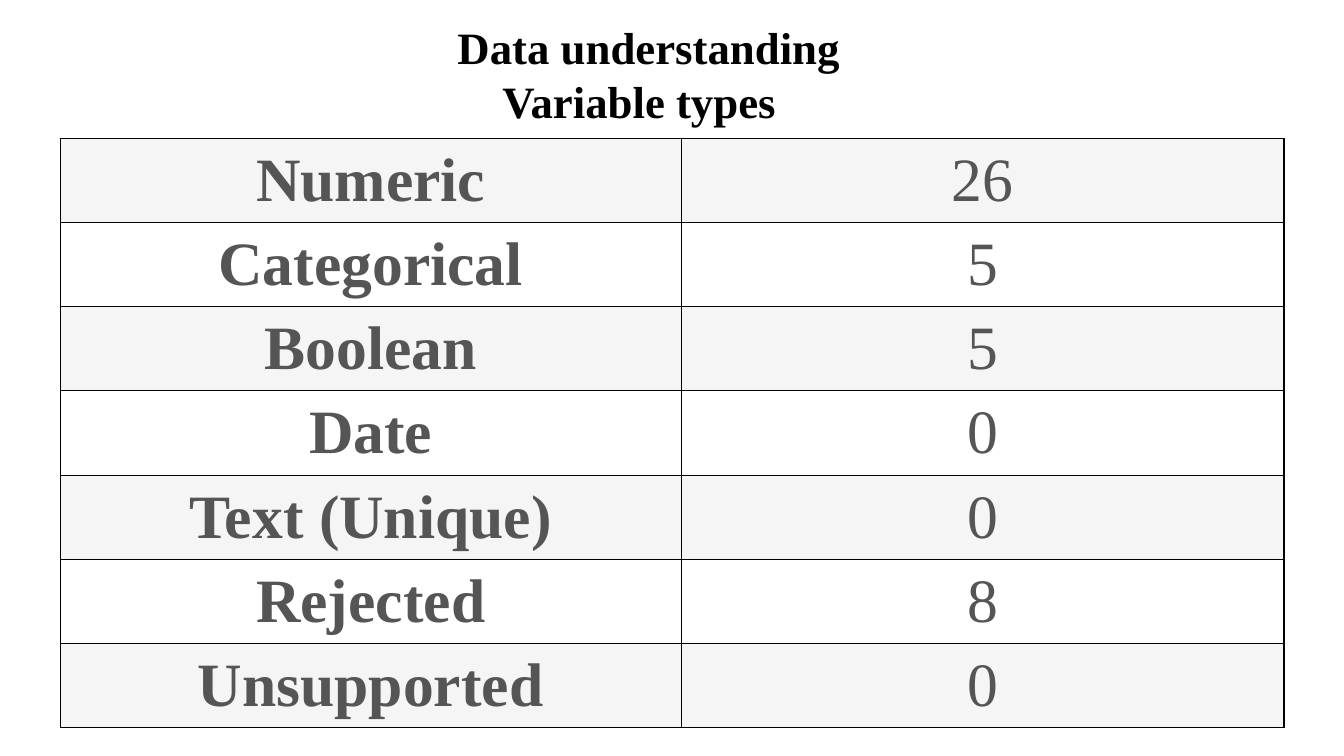
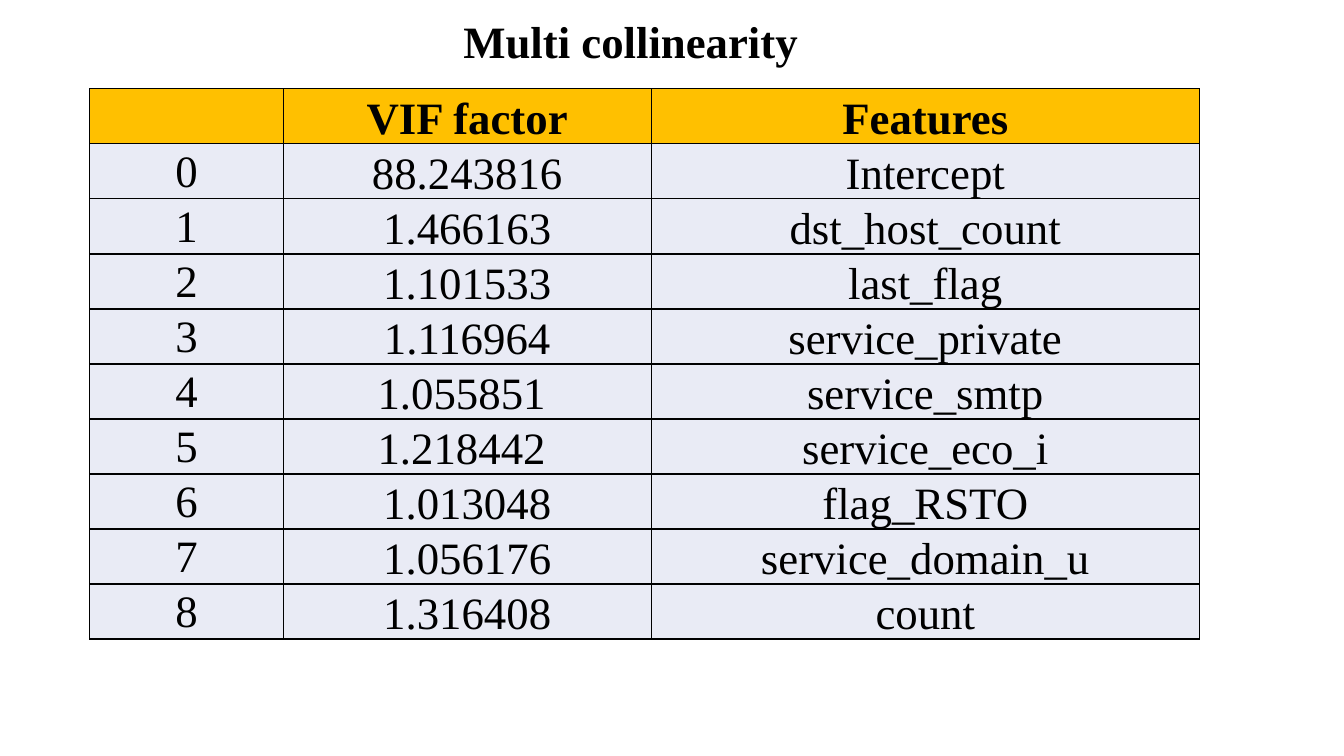
from dataclasses import dataclass

from lxml import etree
from pptx import Presentation
from pptx.dml.color import RGBColor
from pptx.enum.text import MSO_ANCHOR, MSO_AUTO_SIZE, PP_ALIGN
from pptx.oxml.ns import qn
from pptx.util import Cm, Pt

CENTER, JUSTIFY = PP_ALIGN.CENTER, PP_ALIGN.JUSTIFY
MIDDLE, BOTTOM = MSO_ANCHOR.MIDDLE, MSO_ANCHOR.BOTTOM
GROW = MSO_AUTO_SIZE.SHAPE_TO_FIT_TEXT
BLANK_LAYOUT = 6


@dataclass(frozen=True)
class Theme:
    """Colours, type sizes and line widths of the presentation."""
    font: str = "Times New Roman"
    ink: str = "000000"
    muted: str = "555555"
    white: str = "FFFFFF"
    stripe: str = "F5F5F5"
    header: str = "FFC000"
    body: str = "E9EBF5"
    text_size: int = 32
    large_size: int = 44
    border: int = 1


THEME = Theme()
SNUG = (0.03, 0.03, 0.03, 0)
EVEN = (0.03, 0.03, 0.03, 0.03)
ROOMY = (0.25, 0.13, 0.25, 0.13)

VARIABLE_TYPES = [
    ("Numeric", "26"),
    ("Categorical", "5"),
    ("Boolean", "5"),
    ("Date", "0"),
    ("Text (Unique)", "0"),
    ("Rejected", "8"),
    ("Unsupported", "0"),
]

VIF_FACTORS = [
    ("88.243816", "Intercept"),
    ("1.466163", "dst_host_count"),
    ("1.101533", "last_flag"),
    ("1.116964", "service_private"),
    ("1.055851 ", "service_smtp"),
    ("1.218442 ", "service_eco_i"),
    ("1.013048", "flag_RSTO"),
    ("1.056176", "service_domain_u"),
    ("1.316408", "count"),
]


def write_text(paragraph, text, size=THEME.text_size, color=THEME.ink,
               bold=False, align=CENTER, indent=0):
    """Write one formatted run into a paragraph."""
    paragraph.alignment = align
    if indent:
        properties = paragraph._p.get_or_add_pPr()
        properties.set("marL", str(Cm(indent)))
        properties.set("indent", "0")
    run = paragraph.add_run()
    run.text = text
    run.font.name = THEME.font
    run.font.size = Pt(size)
    run.font.bold = bold
    run.font.color.rgb = RGBColor.from_string(color)


def add_title(slide, lines, left, top, width, height, align=CENTER, wrap=True):
    """Add a bold title from (text, indent) lines."""
    box = slide.shapes.add_textbox(Cm(left), Cm(top), Cm(width), Cm(height))
    frame = box.text_frame
    frame.word_wrap = wrap
    frame.auto_size = GROW
    for index, (text, indent) in enumerate(lines):
        paragraph = frame.add_paragraph() if index else frame.paragraphs[0]
        write_text(paragraph, text, bold=True, align=align, indent=indent)


def add_borders(cell):
    """Draw a solid line on all four sides of a cell."""
    properties = cell._tc.get_or_add_tcPr()
    for side in ("a:lnL", "a:lnR", "a:lnT", "a:lnB"):
        line = etree.SubElement(properties, qn(side), w=str(Pt(THEME.border)))
        fill = etree.SubElement(line, qn("a:solidFill"))
        etree.SubElement(fill, qn("a:srgbClr"), val=THEME.ink)


def add_grid(slide, left, top, column_widths, row_height, row_count):
    """Add a plain table without a banded style."""
    table = slide.shapes.add_table(
        row_count, len(column_widths), Cm(left), Cm(top),
        Cm(sum(column_widths)), Cm(row_height * row_count)).table
    table.first_row = table.horz_banding = False
    for column, width in zip(table.columns, column_widths):
        column.width = Cm(width)
    for row in table.rows:
        row.height = Cm(row_height)
    return table


def fill_cell(cell, text, fill, anchor=MIDDLE, insets=SNUG, **text_format):
    """Set the borders, fill, insets and text of a cell."""
    add_borders(cell)
    cell.fill.solid()
    cell.fill.fore_color.rgb = RGBColor.from_string(fill)
    cell.vertical_anchor = anchor
    (cell.margin_left, cell.margin_top,
     cell.margin_right, cell.margin_bottom) = map(Cm, insets)
    if text:
        write_text(cell.text_frame.paragraphs[0], text, **text_format)


def add_variable_table(slide):
    """Add the striped table of variable types and counts."""
    table = add_grid(slide, 1.52, 3.48, (15.65, 15.19), 2.12,
                     len(VARIABLE_TYPES))
    for row, values in enumerate(VARIABLE_TYPES):
        fill = THEME.white if row % 2 else THEME.stripe
        for column, text in enumerate(values):
            is_label = column == 0
            fill_cell(table.cell(row, column), text, fill,
                      insets=ROOMY if is_label else EVEN, bold=is_label,
                      size=THEME.large_size, color=THEME.muted)


def add_vif_table(slide):
    """Add the numbered table of VIF factors under a coloured header."""
    rows = [("", "VIF factor", "Features")]
    rows += [(str(number), *pair) for number, pair in enumerate(VIF_FACTORS)]
    table = add_grid(slide, 2.26, 2.24, (4.88, 9.27, 13.82), 1.37, len(rows))
    for row, values in enumerate(rows):
        is_header = row == 0
        for column, text in enumerate(values):
            fill_cell(table.cell(row, column), text,
                      THEME.header if is_header else THEME.body,
                      anchor=BOTTOM if column else MIDDLE, bold=is_header)


def main():
    """Build and save the presentation."""
    presentation = Presentation()
    presentation.slide_width = Cm(33.87)
    presentation.slide_height = Cm(19.05)
    layout = presentation.slide_layouts[BLANK_LAYOUT]

    slide = presentation.slides.add_slide(layout)
    add_title(slide, [("Data understanding", 10.16), ("Variable types", 11.29)],
              1.12, 0.38, 24.28, 3, align=JUSTIFY)
    add_variable_table(slide)

    slide = presentation.slides.add_slide(layout)
    add_title(slide, [("Multi collinearity ", 0)], 11.38, 0.23, 9.32, 1.63,
              wrap=False)
    add_vif_table(slide)

    presentation.save("out.pptx")


main()
